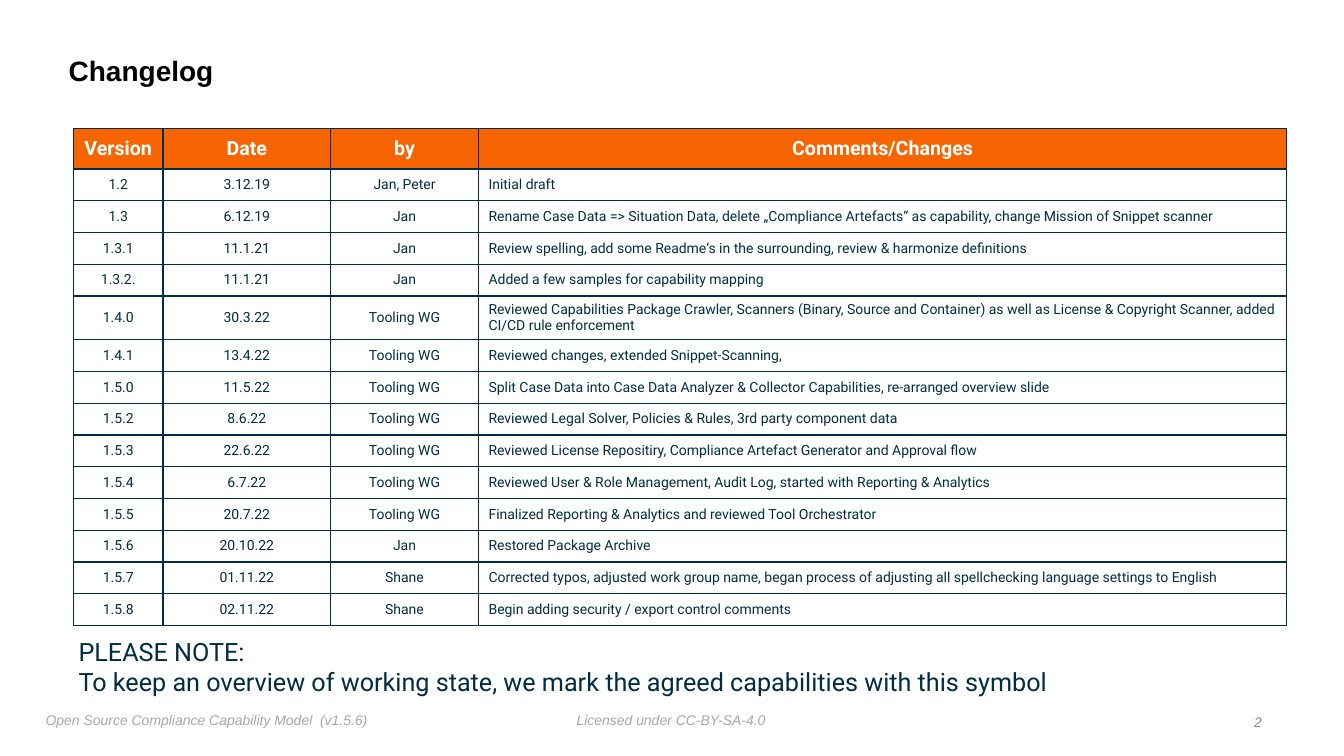
"""Build the changelog slide of the capability model deck."""
from dataclasses import dataclass

from lxml import etree
from pptx import Presentation
from pptx.dml.color import RGBColor
from pptx.enum import text as t
from pptx.oxml import ns
from pptx.util import Cm, Pt

NAVY, ORANGE, WHITE, BLACK = "002D41", "F76503", "FFFFFF", "000000"
FOOTER_GREY, NUMBER_GREY = "A7A7A7", "888C91"
LEFT, CENTER, RIGHT = t.PP_ALIGN.LEFT, t.PP_ALIGN.CENTER, t.PP_ALIGN.RIGHT
TOP, MIDDLE = t.MSO_ANCHOR.TOP, t.MSO_ANCHOR.MIDDLE


@dataclass(frozen=True)
class Style:
    """Look of one paragraph."""
    size: float
    color: str
    name: str = "Arial"
    bold: bool = False
    italic: bool = False


@dataclass(frozen=True)
class Label:
    """Text box with its place in centimetres."""
    text: str
    left: float
    top: float
    width: float
    height: float
    style: Style
    align: t.PP_ALIGN = LEFT
    anchor: t.MSO_ANCHOR = TOP
    wrap: bool = False
    spacing: float = 1.0


@dataclass(frozen=True)
class Change:
    """One row of the changelog."""
    version: str
    date: str
    author: str
    comment: str

    def values(self) -> tuple[str, ...]:
        """Return the cell texts from left to right."""
        return self.version, self.date, self.author, self.comment


FOOTER = Style(10, FOOTER_GREY, italic=True)
HEADER_CELL = Style(14, WHITE, "Roboto", bold=True)
BODY_CELL = Style(10, NAVY, "Roboto")

LABELS = [
    Label("Licensed under CC-BY-SA-4.0", 14.4, 17.8, 5.05, 0.64, FOOTER),
    Label("Open Source Compliance Capability Model  (v1.5.6)",
          1.02, 17.8, 8.43, 0.69, FOOTER),
    Label("Changelog", 1.6, 0.99, 27.3, 1.65, Style(20, BLACK, bold=True),
          anchor=MIDDLE, wrap=True, spacing=0.9),
    Label("PLEASE NOTE:\vTo keep an overview of working state, "
          "we mark the agreed capabilities with this symbol",
          1.85, 15.9, 25.2, 1.8, Style(18, NAVY, "Roboto")),
    Label("2", 31.24, 17.86, 0.69, 0.64, Style(10, NUMBER_GREY, italic=True),
          align=RIGHT, anchor=MIDDLE),
]

HEADER = Change("Version", "Date", "by", "Comments/Changes")
CHANGES = [
    Change("1.2", "3.12.19", "Jan, Peter", "Initial draft"),
    Change("1.3", "6.12.19", "Jan",
           "Rename Case Data => Situation Data, delete „Compliance Artefacts“ "
           "as capability, change Mission of Snippet scanner"),
    Change("1.3.1", "11.1.21", "Jan",
           "Review spelling, add some Readme‘s in the surrounding, "
           "review & harmonize definitions"),
    Change("1.3.2.", "11.1.21", "Jan",
           "Added a few samples for capability mapping"),
    Change("1.4.0", "30.3.22", "Tooling WG",
           "Reviewed Capabilities Package Crawler, Scanners (Binary, Source "
           "and Container) as well as License & Copyright Scanner, "
           "added CI/CD rule enforcement"),
    Change("1.4.1", "13.4.22", "Tooling WG",
           "Reviewed changes, extended Snippet-Scanning,"),
    Change("1.5.0", "11.5.22", "Tooling WG",
           "Split Case Data into Case Data Analyzer & Collector Capabilities, "
           "re-arranged overview slide"),
    Change("1.5.2", "8.6.22", "Tooling WG",
           "Reviewed Legal Solver, Policies & Rules, 3rd party component data"),
    Change("1.5.3", "22.6.22", "Tooling WG",
           "Reviewed License Repositiry, Compliance Artefact Generator "
           "and Approval flow"),
    Change("1.5.4", "6.7.22", "Tooling WG",
           "Reviewed User & Role Management, Audit Log, "
           "started with Reporting & Analytics"),
    Change("1.5.5", "20.7.22", "Tooling WG",
           "Finalized Reporting & Analytics and reviewed Tool Orchestrator"),
    Change("1.5.6", "20.10.22", "Jan", "Restored Package Archive"),
    Change("1.5.7", "01.11.22", "Shane",
           "Corrected typos, adjusted work group name, began process of "
           "adjusting all spellchecking language settings to English"),
    Change("1.5.8", "02.11.22", "Shane",
           "Begin adding security / export control comments"),
]
COLUMN_WIDTHS = [2.26, 4.22, 3.73, 20.37]
HEADER_HEIGHT, BODY_HEIGHT = 1.03, 0.8


def rgb(color: str) -> RGBColor:
    """Turn a hex string into a colour."""
    return RGBColor.from_string(color)


def write(para, content: str, style: Style, align: t.PP_ALIGN) -> None:
    """Fill a paragraph with styled text."""
    para.text = content
    para.alignment = align
    font = para.font
    font.name, font.size = style.name, Pt(style.size)
    font.bold, font.italic = style.bold, style.italic
    font.color.rgb = rgb(style.color)


def add_label(page, label: Label) -> None:
    """Draw one text box."""
    box = page.shapes.add_textbox(
        Cm(label.left), Cm(label.top), Cm(label.width), Cm(label.height))
    frame = box.text_frame
    frame.word_wrap = label.wrap
    frame.vertical_anchor = label.anchor
    frame.margin_left = frame.margin_right = Cm(0.13)
    frame.margin_top = frame.margin_bottom = Cm(0.13)
    para = frame.paragraphs[0]
    write(para, label.text, label.style, label.align)
    para.line_spacing = label.spacing


def add_borders(cell, color: str, width: float) -> None:
    """Draw a solid line on all four sides of a cell."""
    properties = cell._tc.get_or_add_tcPr()
    for position, side in enumerate(("lnL", "lnR", "lnT", "lnB")):
        line = etree.Element(ns.qn(f"a:{side}"), w=str(Pt(width)))
        fill = etree.SubElement(line, ns.qn("a:solidFill"))
        etree.SubElement(fill, ns.qn("a:srgbClr"), val=color)
        properties.insert(position, line)


def add_changelog(page) -> None:
    """Draw the table of changes."""
    rows = [HEADER, *CHANGES]
    height = HEADER_HEIGHT + BODY_HEIGHT * len(CHANGES)
    table = page.shapes.add_table(
        len(rows), len(COLUMN_WIDTHS), Cm(1.85), Cm(3.23),
        Cm(sum(COLUMN_WIDTHS)), Cm(height)).table
    table.horz_banding = False
    for column, width in zip(table.columns, COLUMN_WIDTHS):
        column.width = Cm(width)
    for row, change in zip(table.rows, rows):
        is_header = change is HEADER
        row.height = Cm(HEADER_HEIGHT if is_header else BODY_HEIGHT)
        for index, (cell, value) in enumerate(zip(row.cells, change.values())):
            is_comment = index == len(COLUMN_WIDTHS) - 1 and not is_header
            cell.vertical_anchor = MIDDLE
            write(cell.text_frame.paragraphs[0], value,
                  HEADER_CELL if is_header else BODY_CELL,
                  LEFT if is_comment else CENTER)
            if is_header:
                cell.fill.solid()
                cell.fill.fore_color.rgb = rgb(ORANGE)
            else:
                cell.fill.background()
            add_borders(cell, NAVY, 1)


def main() -> None:
    """Create and save the deck."""
    deck = Presentation()
    deck.slide_width, deck.slide_height = Cm(33.87), Cm(19.05)
    page = deck.slides.add_slide(deck.slide_layouts[6])
    for label in LABELS[:3]:
        add_label(page, label)
    add_changelog(page)
    for label in LABELS[3:]:
        add_label(page, label)
    deck.save("out.pptx")


if __name__ == "__main__":
    main()
